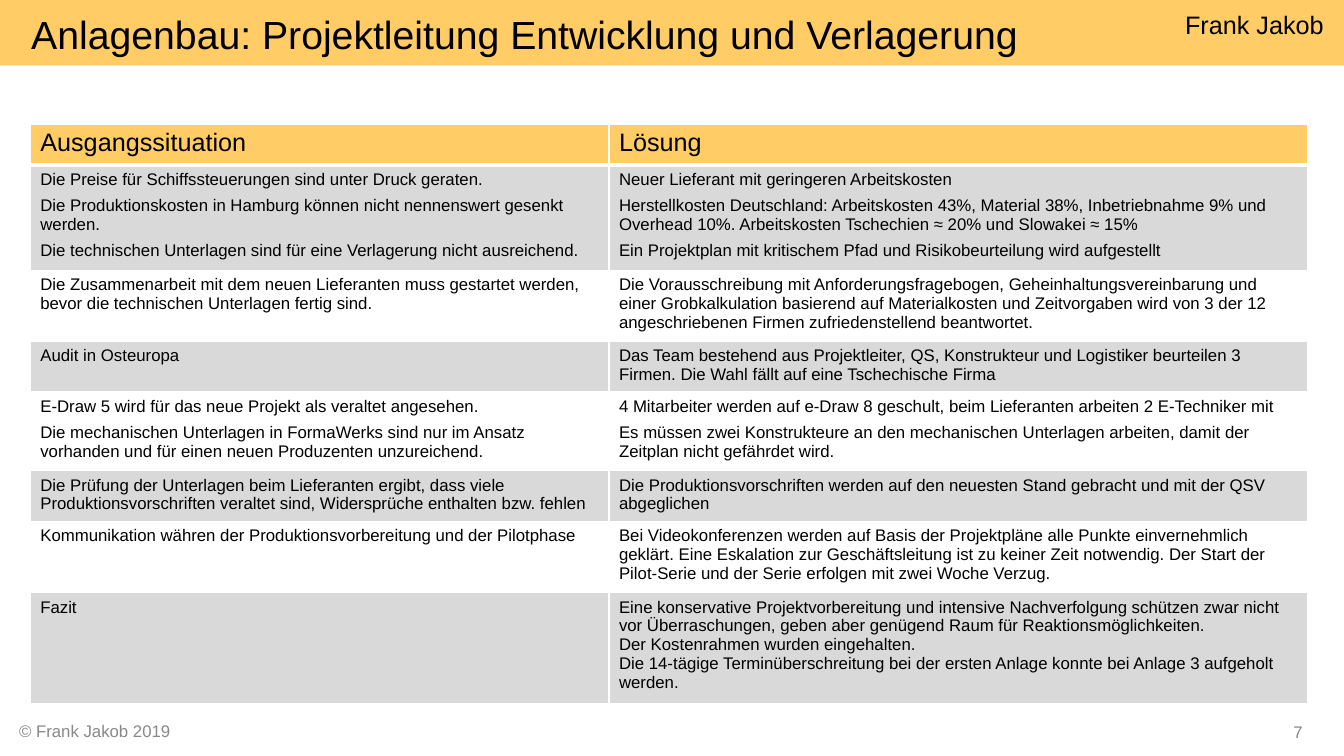
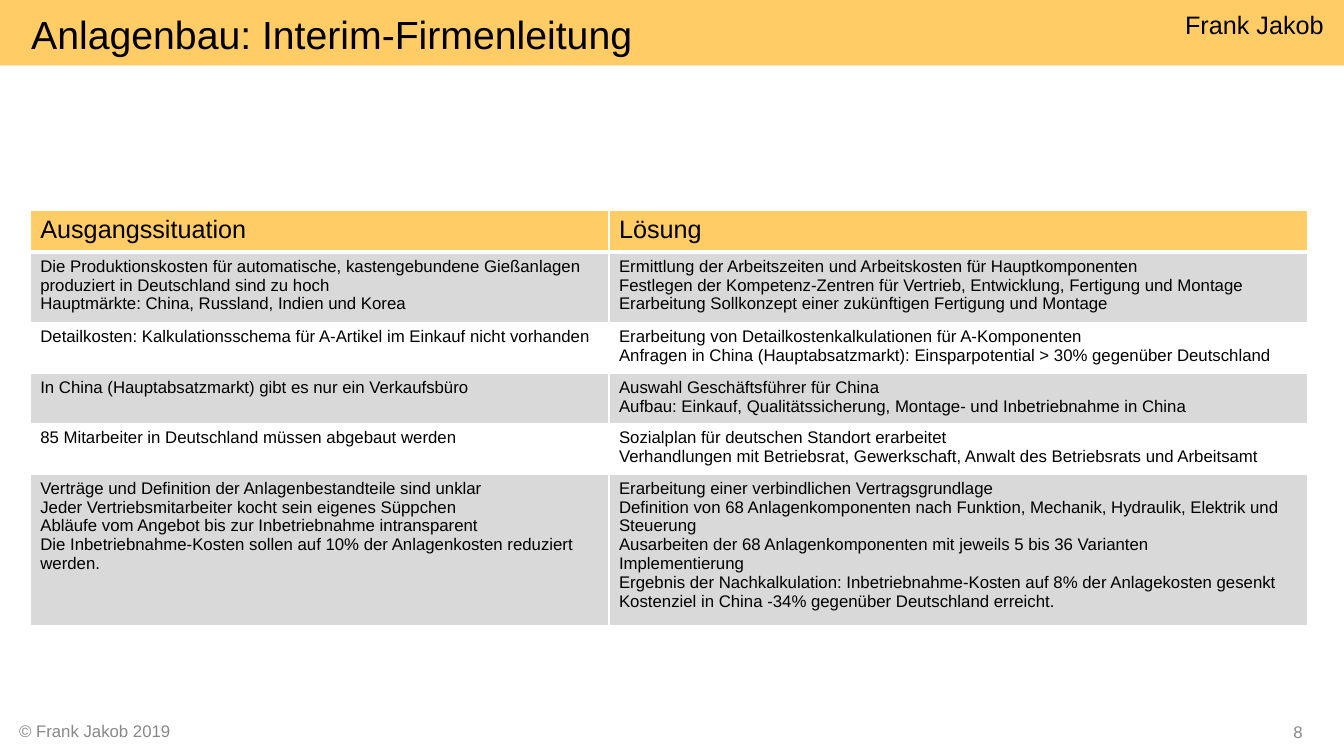
import pptx
import pptx.dml.color
import pptx.enum.shapes
import pptx.enum.text
import pptx.util
from lxml import etree
from pptx.oxml.ns import qn

Inches, Pt = pptx.util.Inches, pptx.util.Pt
PP_ALIGN, MSO_ANCHOR = pptx.enum.text.PP_ALIGN, pptx.enum.text.MSO_ANCHOR

COLORS = {"accent": "FFCC66", "band": "D9D9D9", "text": "000000",
          "footer": "898989", "border": "FFFFFF"}
FONT = "Arial"
AUTHOR = "Frank Jakob"
FOOTER = "© Frank Jakob 2019"
HEADINGS = ("Ausgangssituation", "Lösung")
COLUMN_WIDTHS = (5.74, 6.93)
TABLE_LEFT, HEADER_HEIGHT = 0.3, 0.41
FIRST_NUMBER = 7

# Rows hold height, situation and solution; a list is a set of spaced paragraphs.
SLIDES = [
    {
        "title": "Anlagenbau: Projektleitung Entwicklung und Verlagerung",
        "top": 1.23,
        "rows": [
            (1.03,
             ["Die Preise für Schiffssteuerungen sind unter Druck geraten.",
              "Die Produktionskosten in Hamburg können nicht nennenswert gesenkt werden.",
              "Die technischen Unterlagen sind für eine Verlagerung nicht ausreichend."],
             ["Neuer Lieferant mit geringeren Arbeitskosten",
              "Herstellkosten Deutschland: Arbeitskosten 43%, Material 38%, Inbetriebnahme 9% "
              "und Overhead 10%. Arbeitskosten Tschechien ≈ 20% und Slowakei ≈ 15%",
              "Ein Projektplan mit kritischem Pfad und Risikobeurteilung wird aufgestellt"]),
            (0.71,
             "Die Zusammenarbeit mit dem neuen Lieferanten muss gestartet werden, bevor die "
             "technischen Unterlagen fertig sind.",
             "Die Vorausschreibung mit Anforderungsfragebogen, Geheinhaltungsvereinbarung und "
             "einer Grobkalkulation basierend auf Materialkosten und Zeitvorgaben wird von 3 "
             "der 12 angeschriebenen Firmen zufriedenstellend beantwortet."),
            (0.49,
             "Audit in Osteuropa",
             "Das Team bestehend aus Projektleiter, QS, Konstrukteur und Logistiker beurteilen "
             "3 Firmen. Die Wahl fällt auf eine Tschechische Firma"),
            (0.78,
             ["E-Draw 5 wird für das neue Projekt als veraltet angesehen.",
              "Die mechanischen Unterlagen in FormaWerks sind nur im Ansatz vorhanden und für "
              "einen neuen Produzenten unzureichend."],
             ["4 Mitarbeiter werden auf e-Draw 8 geschult, beim Lieferanten arbeiten 2 "
              "E-Techniker mit",
              "Es müssen zwei Konstrukteure an den mechanischen Unterlagen arbeiten, damit der "
              "Zeitplan nicht gefährdet wird."]),
            (0.49,
             "Die Prüfung der Unterlagen beim Lieferanten ergibt, dass viele "
             "Produktionsvorschriften veraltet sind, Widersprüche enthalten bzw. fehlen",
             "Die Produktionsvorschriften werden auf den neuesten Stand gebracht und mit der "
             "QSV abgeglichen"),
            (0.71,
             "Kommunikation währen der Produktionsvorbereitung und der Pilotphase",
             "Bei Videokonferenzen werden auf Basis der Projektpläne alle Punkte "
             "einvernehmlich geklärt. Eine Eskalation zur Geschäftsleitung ist zu keiner Zeit "
             "notwendig. Der Start der Pilot-Serie und der Serie erfolgen mit zwei Woche Verzug."),
            (1.09,
             "Fazit",
             "Eine konservative Projektvorbereitung und intensive Nachverfolgung schützen zwar "
             "nicht vor Überraschungen, geben aber genügend Raum für Reaktionsmöglichkeiten.\n"
             "Der Kostenrahmen wurden eingehalten.\n"
             "Die 14-tägige Terminüberschreitung bei der ersten Anlage konnte bei Anlage 3 "
             "aufgeholt werden."),
        ],
    },
    {
        "title": "Anlagenbau: Interim-Firmenleitung",
        "top": 2.09,
        "rows": [
            (0.7,
             "Die Produktionskosten für automatische, kastengebundene Gießanlagen produziert in "
             "Deutschland sind zu hoch\n"
             "Hauptmärkte: China, Russland, Indien und Korea",
             "Ermittlung der Arbeitszeiten und Arbeitskosten für Hauptkomponenten\n"
             "Festlegen der Kompetenz-Zentren für Vertrieb, Entwicklung, Fertigung und Montage\n"
             "Erarbeitung Sollkonzept einer zukünftigen Fertigung und Montage"),
            (0.5,
             "Detailkosten: Kalkulationsschema für A-Artikel im Einkauf nicht vorhanden",
             "Erarbeitung von Detailkostenkalkulationen für A-Komponenten\n"
             "Anfragen in China (Hauptabsatzmarkt): Einsparpotential > 30% gegenüber Deutschland"),
            (0.5,
             "In China (Hauptabsatzmarkt) gibt es nur ein Verkaufsbüro",
             "Auswahl Geschäftsführer für China\n"
             "Aufbau: Einkauf, Qualitätssicherung, Montage- und Inbetriebnahme in China"),
            (0.5,
             "85 Mitarbeiter in Deutschland müssen abgebaut werden",
             "Sozialplan für deutschen Standort erarbeitet\n"
             "Verhandlungen mit Betriebsrat, Gewerkschaft, Anwalt des Betriebsrats und "
             "Arbeitsamt"),
            (1.49,
             "Verträge und Definition der Anlagenbestandteile sind unklar\n"
             "Jeder Vertriebsmitarbeiter kocht sein eigenes Süppchen\n"
             "Abläufe vom Angebot bis zur Inbetriebnahme intransparent\n"
             "Die Inbetriebnahme-Kosten sollen auf 10% der Anlagenkosten reduziert werden.",
             "Erarbeitung einer verbindlichen Vertragsgrundlage\n"
             "Definition von 68 Anlagenkomponenten nach Funktion, Mechanik, Hydraulik, Elektrik "
             "und Steuerung\n"
             "Ausarbeiten der 68 Anlagenkomponenten mit jeweils 5 bis 36 Varianten\n"
             "Implementierung\n"
             "Ergebnis der Nachkalkulation: Inbetriebnahme-Kosten auf 8% der Anlagekosten "
             "gesenkt\n"
             "Kostenziel in China -34% gegenüber Deutschland erreicht."),
        ],
    },
]


def rgb(name):
    return pptx.dml.color.RGBColor.from_string(COLORS[name])


def style(p, size, color="text"):
    p.font.name, p.font.size, p.font.bold = FONT, Pt(size), False
    p.font.color.rgb = rgb(color)


def set_margins(tf, left, top, right, bottom):
    tf.margin_left, tf.margin_top = Inches(left), Inches(top)
    tf.margin_right, tf.margin_bottom = Inches(right), Inches(bottom)


def add_text(slide, box, text, size, color="text"):
    tf = slide.shapes.add_textbox(*map(Inches, box)).text_frame
    tf.text = text
    style(tf.paragraphs[0], size, color)
    return tf


def add_frame(slide, title, number):
    """Add the band, title and footer that every slide carries."""
    band = slide.shapes.add_shape(pptx.enum.shapes.MSO_SHAPE.RECTANGLE,
                                  *map(Inches, (0, -0.03, 13.33, 0.68)))
    band.shadow.inherit = False
    band.fill.solid()
    band.fill.fore_color.rgb = rgb("accent")
    band.line.fill.background()
    tf = band.text_frame
    set_margins(tf, 0, 0.12, 0.2, 0)
    tf.vertical_anchor = MSO_ANCHOR.TOP
    tf.text = AUTHOR
    tf.paragraphs[0].alignment = PP_ALIGN.RIGHT
    style(tf.paragraphs[0], 18)

    tf = add_text(slide, (0.31, 0, 13.02, 0.68), title, 28)
    set_margins(tf, 0, 0, 0, 0)
    tf.vertical_anchor = MSO_ANCHOR.MIDDLE
    tf.word_wrap = True
    add_text(slide, (0.09, 7.1, 1.72, 0.3), FOOTER, 12, "footer")
    add_text(slide, (12.73, 7.11, 0.53, 0.3), str(number), 12, "footer")


def set_borders(cell, bottom):
    tc_pr = cell._tc.get_or_add_tcPr()
    widths = {"a:lnL": 1, "a:lnR": 1, "a:lnT": 1, "a:lnB": bottom}
    for i, (tag, width) in enumerate(widths.items()):
        ln = etree.Element(qn(tag), w=str(Pt(width)))
        fill = etree.SubElement(ln, qn("a:solidFill"))
        etree.SubElement(fill, qn("a:srgbClr"), val=COLORS["border"])
        tc_pr.insert(i, ln)


def fill_cell(cell, content, size, fill, bottom=1):
    spaced = isinstance(content, list)
    cell.text = "\n".join(content) if spaced else content
    for p in cell.text_frame.paragraphs:
        style(p, size)
        if spaced:
            p.space_before, p.space_after = Pt(2), Pt(3)
    if fill:
        cell.fill.solid()
        cell.fill.fore_color.rgb = rgb(fill)
    else:
        cell.fill.background()
    set_borders(cell, bottom)


def add_comparison(slide, top, rows):
    heights = [HEADER_HEIGHT] + [row[0] for row in rows]
    table = slide.shapes.add_table(
        len(heights), len(HEADINGS), Inches(TABLE_LEFT), Inches(top),
        Inches(sum(COLUMN_WIDTHS)), Inches(sum(heights))).table
    table.horz_banding = False
    for column, width in zip(table.columns, COLUMN_WIDTHS):
        column.width = Inches(width)
    for row, height in zip(table.rows, heights):
        row.height = Inches(height)
    for c, heading in enumerate(HEADINGS):
        fill_cell(table.cell(0, c), heading, 18, "accent", bottom=3)
    for r, (_, *contents) in enumerate(rows, 1):
        for c, content in enumerate(contents):
            fill_cell(table.cell(r, c), content, 12, "band" if r % 2 else None)
            if r == 1:
                top_line = table.cell(r, c)._tc.tcPr.find(qn("a:lnT"))
                top_line.set("w", str(Pt(3)))


def main():
    prs = pptx.Presentation()
    prs.slide_width, prs.slide_height = Inches(13.33), Inches(7.5)
    for number, content in enumerate(SLIDES, FIRST_NUMBER):
        slide = prs.slides.add_slide(prs.slide_layouts[6])
        add_frame(slide, content["title"], number)
        add_comparison(slide, content["top"], content["rows"])
    prs.save("out.pptx")


if __name__ == "__main__":
    main()
